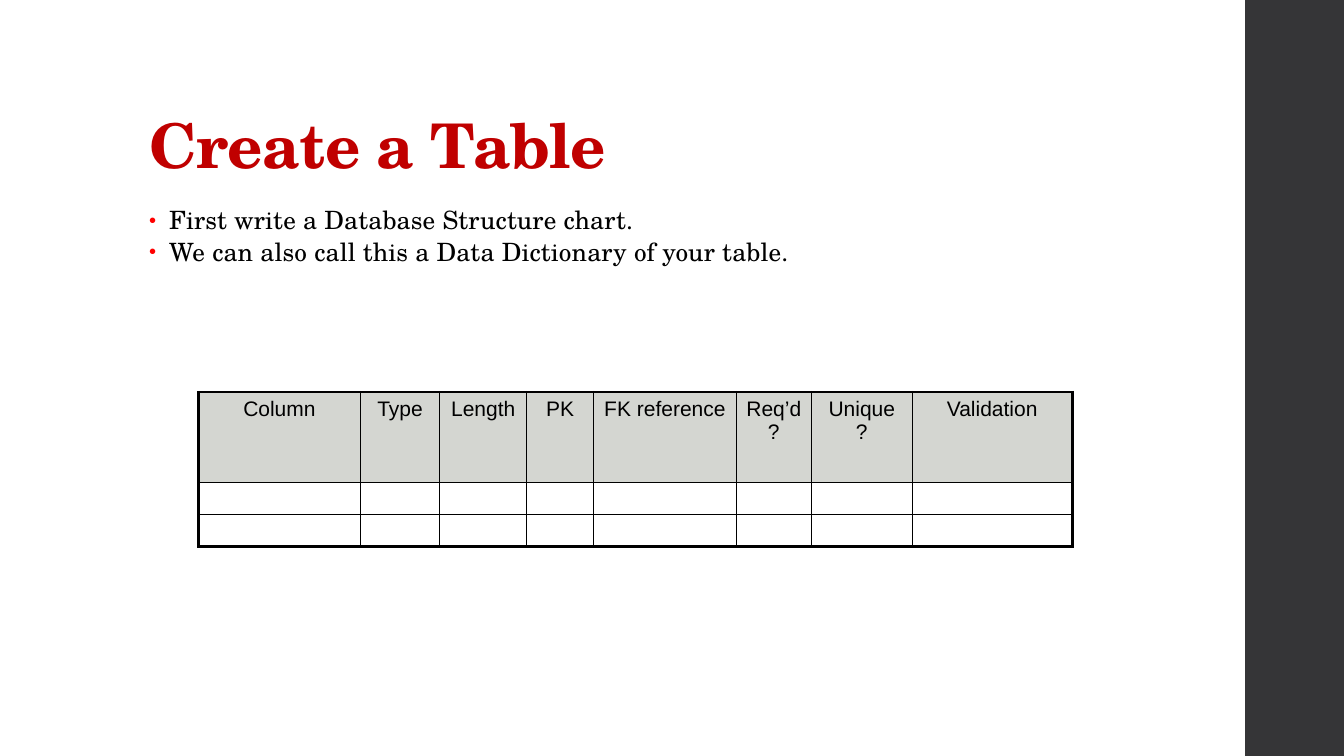
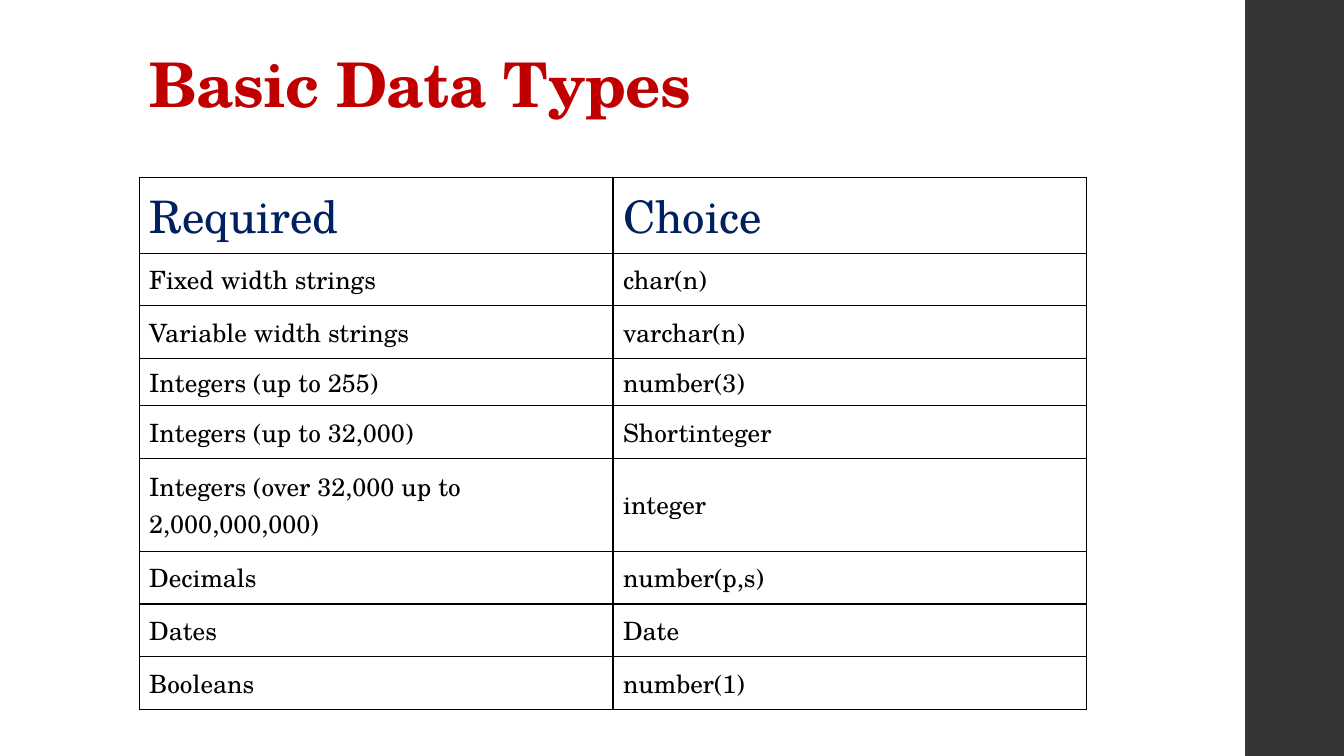
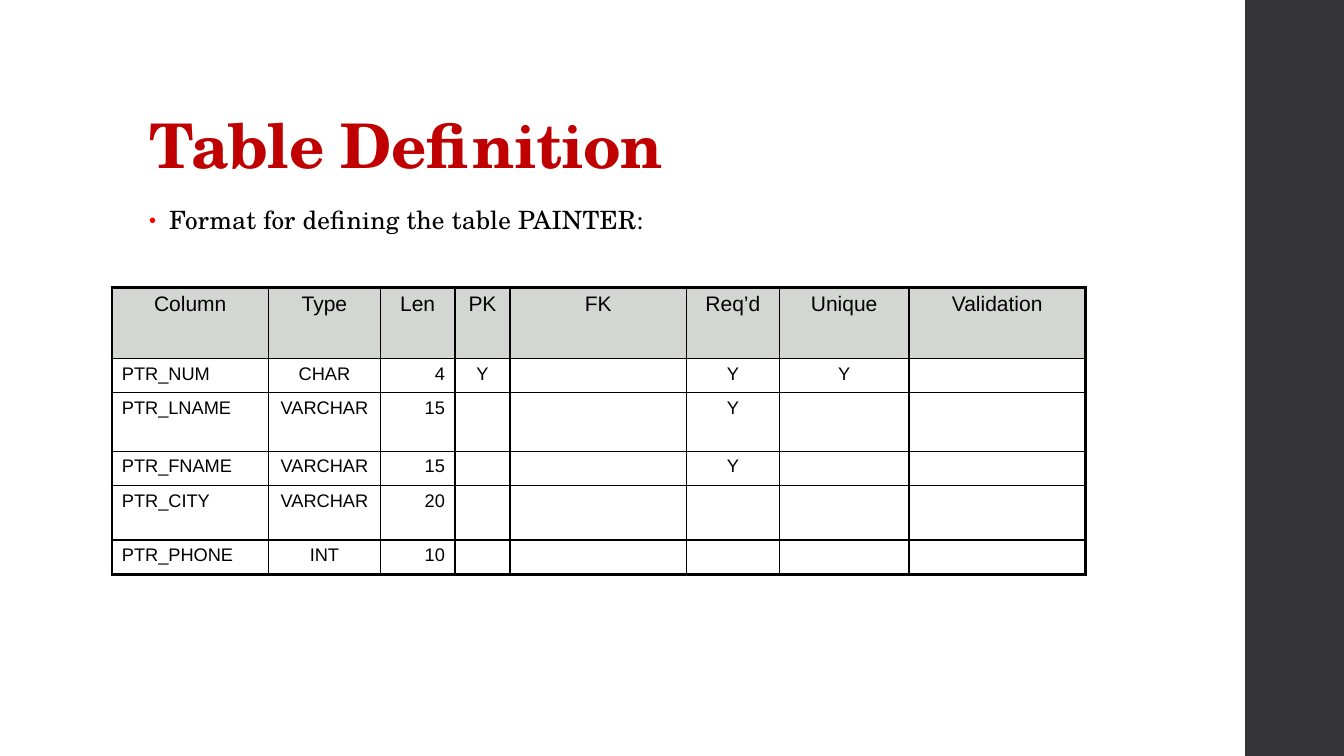
from dataclasses import dataclass

from lxml import etree
from pptx import Presentation, util as u
from pptx.dml.color import RGBColor
from pptx.enum import shapes, text
from pptx.oxml.ns import qn

LEFT, CENTER, RIGHT = text.PP_ALIGN.LEFT, text.PP_ALIGN.CENTER, text.PP_ALIGN.RIGHT


@dataclass(frozen=True)
class Theme:
    serif: str = "TeX Gyre Schola"
    sans: str = "Arial"
    title: str = "C00000"
    ink: str = "000000"
    navy: str = "002060"
    bullet: str = "FF0000"
    band: str = "353537"
    header_fill: str = "ABAFA5"
    header_opacity: int = 50
    title_size: int = 44
    heading_size: int = 32
    body_size: int = 18
    header_size: int = 15
    cell_size: int = 13
    thin: float = 1
    thick: float = 2.25


@dataclass(frozen=True)
class CellStyle:
    font: str
    size: int
    color: str
    anchor: text.MSO_ANCHOR = text.MSO_ANCHOR.TOP


THEME = Theme()
FORM_HEAD = CellStyle(THEME.sans, THEME.header_size, THEME.ink)
FORM_BODY = CellStyle(THEME.sans, THEME.cell_size, THEME.ink)
LIST_HEAD = CellStyle(THEME.serif, THEME.heading_size, THEME.navy, text.MSO_ANCHOR.MIDDLE)
LIST_BODY = CellStyle(THEME.serif, THEME.body_size, THEME.ink, text.MSO_ANCHOR.MIDDLE)


class Deck:
    """Slides on a grid of 133.3 columns by 75 rows."""

    COLUMNS, ROWS = 133.3, 75
    MARGIN = 13.8

    def __init__(self):
        self.presentation = Presentation()
        self.presentation.slide_width = u.Inches(13.33)
        self.presentation.slide_height = u.Inches(7.5)
        self.slide = None

    def x(self, columns):
        return round(self.presentation.slide_width * columns / self.COLUMNS)

    def y(self, rows):
        return round(self.presentation.slide_height * rows / self.ROWS)

    def box(self, left, top, width, height):
        return self.x(left), self.y(top), self.x(width), self.y(height)

    def add_run(self, paragraph, words, font, size, color, bold=False, tracking=0):
        run = paragraph.add_run()
        run.text = words
        run.font.name, run.font.size, run.font.bold = font, u.Pt(size), bold
        run.font.color.rgb = RGBColor.from_string(color)
        if tracking:
            run._r.get_or_add_rPr().set("spc", str(round(tracking * 100)))

    # Slide with side band and title
    def add_slide(self, title, title_top=4):
        self.slide = self.presentation.slides.add_slide(self.presentation.slide_layouts[5])
        band_left = 123.5
        band = self.slide.shapes.add_shape(
            shapes.MSO_SHAPE.RECTANGLE,
            *self.box(band_left, 0, self.COLUMNS - band_left, self.ROWS))
        band.shadow.inherit = False
        band.fill.solid()
        band.fill.fore_color.rgb = RGBColor.from_string(THEME.band)
        band.line.fill.background()

        shape = self.slide.shapes.title
        shape.left, shape.top, shape.width, shape.height = self.box(
            self.MARGIN, title_top, 106, 14.5)
        frame = shape.text_frame
        frame.word_wrap = True
        frame.auto_size = text.MSO_AUTO_SIZE.NONE
        frame.vertical_anchor = text.MSO_ANCHOR.BOTTOM
        paragraph = frame.paragraphs[0]
        paragraph.alignment, paragraph.line_spacing = LEFT, 0.9
        self.add_run(paragraph, title, THEME.serif, THEME.title_size, THEME.title, True, -0.5)

    # Bulleted text
    def add_bullets(self, *lines):
        frame = self.slide.shapes.add_textbox(*self.box(self.MARGIN, 20, 94, 47.6)).text_frame
        frame.word_wrap = True
        for index, line in enumerate(lines):
            paragraph = frame.add_paragraph() if index else frame.paragraphs[0]
            paragraph.line_spacing, paragraph.space_after = 0.95, u.Pt(2)
            properties = paragraph._p.get_or_add_pPr()
            indent = self.x(2)
            properties.set("marL", str(indent))
            properties.set("indent", str(-indent))
            color = etree.SubElement(properties, qn("a:buClr"))
            etree.SubElement(color, qn("a:srgbClr"), val=THEME.bullet)
            etree.SubElement(properties, qn("a:buSzPct"), val="80000")
            etree.SubElement(properties, qn("a:buFont"), typeface=THEME.sans)
            etree.SubElement(properties, qn("a:buChar"), char="•")
            self.add_run(paragraph, line, THEME.serif, THEME.body_size, THEME.ink, tracking=0.1)

    # Table: the first row is the header, the rim may be heavier
    def add_table(self, left, top, widths, heights, rows, head, body,
                  alignments, head_alignment=LEFT, shaded=False, rim=THEME.thin):
        table = self.slide.shapes.add_table(
            len(heights), len(widths),
            *self.box(left, top, sum(widths), sum(heights))).table
        table.first_row = table.horz_banding = False
        for column, width in zip(table.columns, widths):
            column.width = self.x(width)
        for row, height in zip(table.rows, heights):
            row.height = self.y(height)
        last_row, last_column = len(heights) - 1, len(widths) - 1
        for r, words_in_row in enumerate(rows):
            for c, words in enumerate(words_in_row):
                cell = table.cell(r, c)
                edges = {"L": c == 0, "R": c == last_column, "T": r == 0, "B": r == last_row}
                self.set_borders(cell, edges, rim)
                self.fill_cell(cell, shaded and r == 0)
                self.write_cell(cell, words, body if r else head,
                                alignments[c] if r else head_alignment)

    def set_borders(self, cell, edges, rim):
        properties = cell._tc.get_or_add_tcPr()
        for side, is_outer in edges.items():
            width = u.Pt(rim if is_outer else THEME.thin)
            line = etree.SubElement(properties, qn(f"a:ln{side}"), w=str(width))
            fill = etree.SubElement(line, qn("a:solidFill"))
            etree.SubElement(fill, qn("a:srgbClr"), val=THEME.ink)

    def fill_cell(self, cell, shaded):
        if not shaded:
            cell.fill.background()
            return
        cell.fill.solid()
        cell.fill.fore_color.rgb = RGBColor.from_string(THEME.header_fill)
        color = cell._tc.tcPr.find(f"{qn('a:solidFill')}/{qn('a:srgbClr')}")
        etree.SubElement(color, qn("a:alpha"), val=str(THEME.header_opacity * 1000))

    def write_cell(self, cell, words, style, alignment):
        cell.vertical_anchor = style.anchor
        paragraph = cell.text_frame.paragraphs[0]
        paragraph.alignment = alignment
        if words:
            self.add_run(paragraph, words, style.font, style.size, style.color)
        else:
            # An empty cell keeps the row low through its end mark
            etree.SubElement(paragraph._p, qn("a:endParaRPr"), sz=str(style.size * 100))

    def add_form(self, left, top, widths, heights, rows):
        alignments = [LEFT, CENTER, RIGHT] + [CENTER] * (len(widths) - 3)
        self.add_table(left, top, widths, heights, rows, FORM_HEAD, FORM_BODY,
                       alignments, CENTER, shaded=True, rim=THEME.thick)


def main():
    deck = Deck()

    # Blank data dictionary
    deck.add_slide("Create a Table")
    deck.add_bullets("First write a Database Structure chart.",
                     "We can also call this a Data Dictionary of your table.")
    headers = ["Column", "Type", "Length", "PK", "FK reference", "Req’d ?", "Unique ?",
               "Validation"]
    blank = [""] * len(headers)
    deck.add_form(19.7, 38.9, [16.03, 7.9, 8.6, 6.65, 14.15, 7.45, 10, 15.87], [9, 3.1, 3.1],
                  [headers, blank, blank])

    # Data types
    deck.add_slide("Basic Data Types", title_top=-2)
    data_types = [
        ("Required", "Choice"),
        ("Fixed width strings", "char(n)"),
        ("Variable width strings", "varchar(n)"),
        ("Integers (up to 255)", "number(3)"),
        ("Integers (up to 32,000)", "Shortinteger"),
        ("Integers (over 32,000 up to 2,000,000,000)", "integer"),
        ("Decimals", "number(p,s)"),
        ("Dates", "Date"),
        ("Booleans", "number(1)"),
    ]
    row = 5.24
    heights = [4.7, row, row, 2.3, row, 9.2, row, row, row]
    deck.add_table(deck.MARGIN, 17.57, [47, 47], heights, data_types,
                   LIST_HEAD, LIST_BODY, [LEFT, LEFT])

    # Filled-in definition
    deck.add_slide("Table Definition")
    deck.add_bullets("Format for defining the table PAINTER:")
    deck.add_form(11.1, 28.55, [15.53, 11.1, 7.4, 5.47, 17.5, 9.2, 12.87, 17.5],
                  [7.03, 3.4, 5.8, 3.4, 5.4, 3.4], [
        ("Column", "Type", "Len", "PK", "FK", "Req’d", "Unique", "Validation"),
        ("PTR_NUM", "CHAR", "4", "Y", "", "Y", "Y", ""),
        ("PTR_LNAME", "VARCHAR", "15", "", "", "Y", "", ""),
        ("PTR_FNAME", "VARCHAR", "15", "", "", "Y", "", ""),
        ("PTR_CITY", "VARCHAR", "20", "", "", "", "", ""),
        ("PTR_PHONE", "INT", "10", "", "", "", "", ""),
    ])

    deck.presentation.save("out.pptx")


if __name__ == "__main__":
    main()
